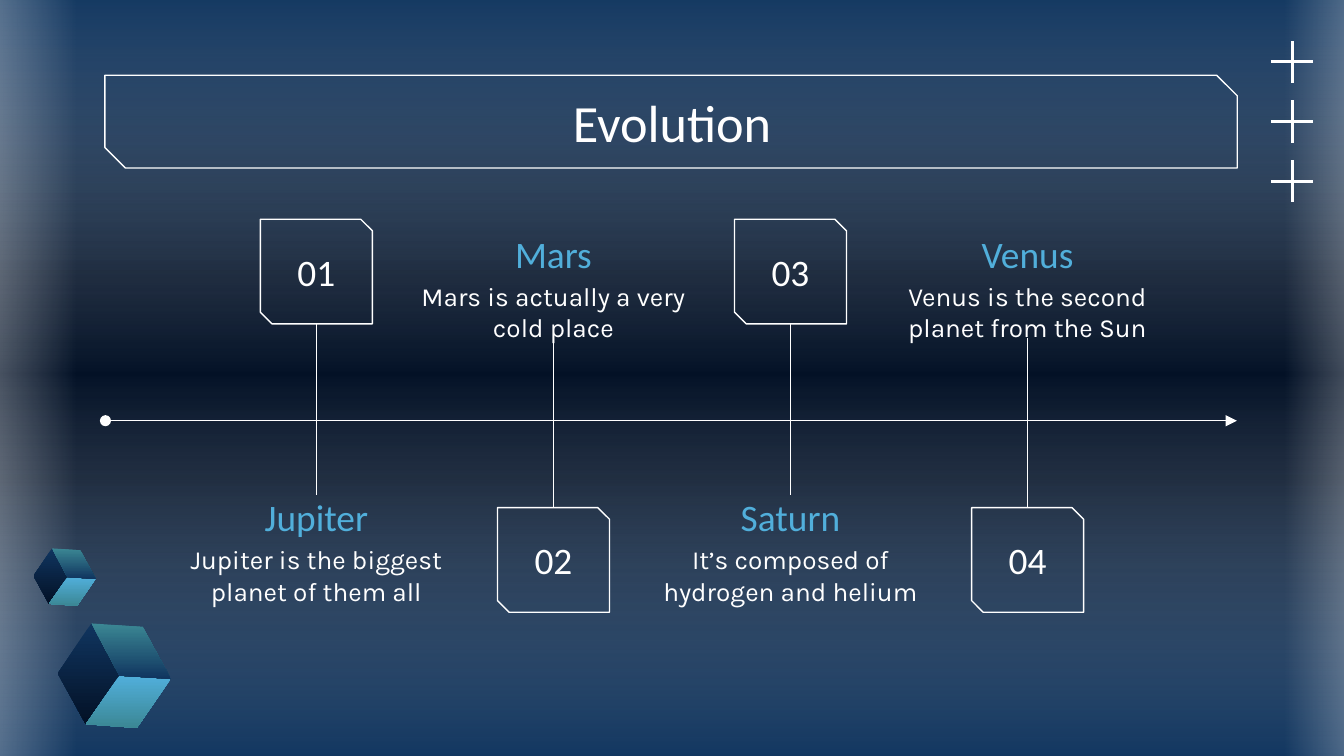
import pptx
import pptx.util
import pptx.dml.color
import pptx.enum.shapes
import pptx.enum.text
import pptx.oxml.ns
from lxml import etree

Pt = pptx.util.Pt
qn = pptx.oxml.ns.qn
KIND = pptx.enum.shapes.MSO_SHAPE
ANCHOR = pptx.enum.text.MSO_ANCHOR
WHITE, SKY, TEAL, NAVY, NIGHT = "FFFFFF", "51AFDB", "3B8794", "10355F", "031126"

# Content
TITLE = "Evolution"
STEPS = [
    ("01", "Jupiter", "Jupiter is the biggest planet of them all"),
    ("02", "Mars", "Mars is actually a very cold place"),
    ("03", "Saturn", "It’s composed of hydrogen and helium"),
    ("04", "Venus", "Venus is the second planet from the Sun"),
]

# Gradient stops: position in %, colour, opacity in %
SKY_STOPS = [(0, NAVY, 100), (37, NIGHT, 100), (63, NIGHT, 100), (100, NAVY, 100)]
WASH = [(0, NAVY, 59), (50, WHITE, 0), (100, NAVY, 59)]
GLOW = [(0, WHITE, 47), (100, WHITE, 0)]
# Panels: left, top, width, height, rotation, stops
PANELS = [
    (158.4, -167.8, 418.3, 735.1, 270, WASH),
    (-29.5, -6.5, 70.6, 417.6, 180, GLOW),
    (688.3, -9.4, 61.2, 417.6, 0, GLOW),
]
# Cube faces: corners, top colour, bottom colour
FACES = [
    ([(18, 0), (0, 26.8), (15, 54), (33, 28)], NAVY, NIGHT),
    ([(33, 28), (60.5, 29.7), (42.3, 56), (15, 54)], SKY, TEAL),
    ([(18, 0), (45.5, 1.9), (60.5, 29.7), (33, 28)], TEAL, NAVY),
]
CUBES = [(31, 334, 1), (18, 293.8, 0.55)]  # left, top, scale


def color(code):
    return pptx.dml.color.RGBColor.from_string(code)


def shade(owner, fill, stops, angle):
    fill.gradient()
    grad = owner.element.find(".//" + qn("a:gradFill"))
    items = grad.find(qn("a:gsLst"))
    for old in list(items):
        items.remove(old)
    for pos, code, alpha in stops:
        stop = etree.SubElement(items, qn("a:gs"), pos=str(pos * 1000))
        tint = etree.SubElement(stop, qn("a:srgbClr"), val=code)
        if alpha < 100:
            etree.SubElement(tint, qn("a:alpha"), val=str(alpha * 1000))
    grad.find(qn("a:lin")).set("ang", str(angle * 60000))


def write(shape, text, size=20, font="Calibri", code=WHITE, anchor=ANCHOR.MIDDLE):
    frame = shape.text_frame
    frame.word_wrap = True
    frame.auto_size = pptx.enum.text.MSO_AUTO_SIZE.NONE
    frame.vertical_anchor = anchor
    frame.margin_left = frame.margin_right = Pt(7.2)
    frame.margin_top = frame.margin_bottom = Pt(7.2)
    para = frame.paragraphs[0]
    para.alignment = pptx.enum.text.PP_ALIGN.CENTER
    run = para.add_run()
    run.text = text
    run.font.size, run.font.name = Pt(size), font
    run.font.color.rgb = color(code)


def stroke(shape):
    shape.line.color.rgb = color(WHITE)
    shape.line.width = Pt(0.75)


def snip(x, y, w, h, cut):
    box = shapes.add_shape(KIND.SNIP_2_DIAG_RECTANGLE, Pt(x), Pt(y), Pt(w), Pt(h))
    box.shadow.inherit = False
    box.adjustments[0], box.adjustments[1] = 0, cut
    box.fill.background()
    stroke(box)
    return box


def link(x1, y1, x2, y2):
    line = shapes.add_connector(
        pptx.enum.shapes.MSO_CONNECTOR.STRAIGHT, Pt(x1), Pt(y1), Pt(x2), Pt(y2))
    stroke(line)
    etree.SubElement(line.element.spPr, qn("a:effectLst"))
    return line


def label(x, y, w, h, text, **style):
    write(shapes.add_textbox(Pt(x), Pt(y), Pt(w), Pt(h)), text, **style)


def poly(group, points):
    points = [(Pt(x), Pt(y)) for x, y in points]
    pen = group.shapes.build_freeform(*points[0])
    pen.add_line_segments(points[1:], close=True)
    shape = pen.convert_to_shape()
    shape.shadow.inherit = False
    shape.line.fill.background()
    return shape


deck = pptx.Presentation()
deck.slide_width, deck.slide_height = Pt(720), Pt(405)
slide = deck.slides.add_slide(deck.slide_layouts[5])
shapes = slide.shapes

# Background and soft panels
shade(slide, slide.background.fill, SKY_STOPS, 90)
for x, y, w, h, turn, stops in PANELS:
    panel = shapes.add_shape(KIND.RECTANGLE, Pt(x), Pt(y), Pt(w), Pt(h))
    panel.shadow.inherit = False
    panel.line.fill.background()
    panel.rotation = turn
    shade(panel, panel.fill, stops, 180)

# Title in its frame, above the panels
snip(56.2, 40.3, 606.6, 49.7, 0.221)
title = shapes.title
title.left, title.top, title.width, title.height = Pt(56.5), Pt(42.5), Pt(607), Pt(45)
write(title, TITLE, size=28)
title.element.getparent().append(title.element)

# Time axis
axis = link(56.5, 225.4, 662.6, 225.4)
ends = axis.line.fill and axis.element.spPr.find(qn("a:ln"))
etree.SubElement(ends, qn("a:headEnd"), type="oval")
etree.SubElement(ends, qn("a:tailEnd"), type="triangle")

# Steps: number box and text swap sides of the axis
for i, (num, name, text) in enumerate(STEPS):
    mid = 169.5 + 127 * i
    above = i % 2 == 0
    top, head = (117.5, 265) if above else (272, 124)
    link(mid, 265 if above else 272, mid, 173.5 if above else 181)
    write(snip(mid - 30, top, 60, 56, 0.111), num)
    label(mid - 78, head, 156, 31, name, code=SKY, anchor=ANCHOR.BOTTOM)
    label(mid - 78, head + 19, 156, 38, text, size=14, font="Karla", anchor=ANCHOR.TOP)

# Crosses, top right
crosses = shapes.add_group_shape()
for i in range(3):
    x, y = 692.3, 33.1 + 32 * i
    for a, b in [(11.3, 0.85), (0.85, 11.3)]:
        bar = poly(crosses, [(x - a, y - b), (x - a, y + b), (x + a, y + b), (x + a, y - b)])
        bar.fill.solid()
        bar.fill.fore_color.rgb = color(WHITE)

# Cubes, bottom left
for x, y, scale in CUBES:
    cube = shapes.add_group_shape()
    for points, first, last in FACES:
        face = poly(cube, [(x + scale * a, y + scale * b) for a, b in points])
        shade(face, face.fill, [(0, first, 100), (100, last, 100)], 90)

deck.save("out.pptx")
